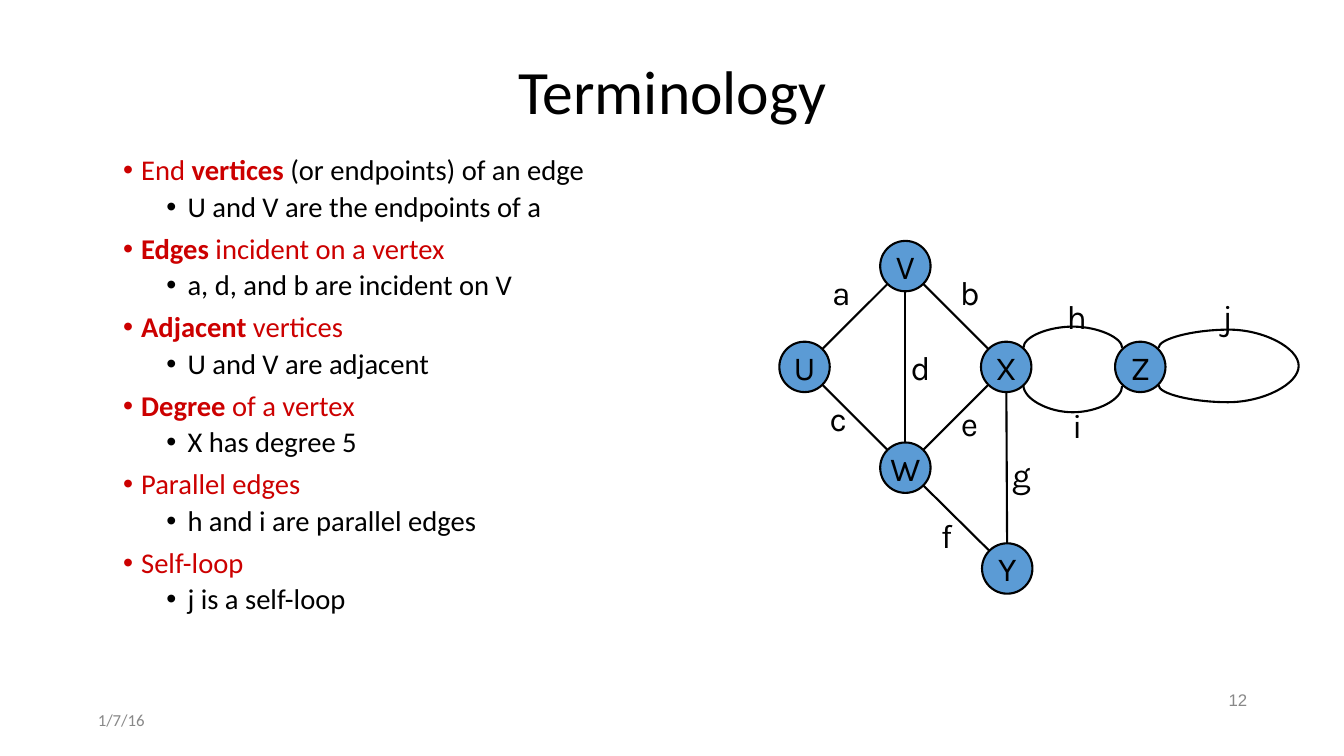
from math import hypot

from lxml.etree import SubElement
from pptx import Presentation
from pptx.dml.color import RGBColor
from pptx.enum.shapes import MSO_CONNECTOR, MSO_SHAPE
from pptx.enum.text import MSO_ANCHOR, PP_ALIGN
from pptx.oxml.ns import qn
from pptx.util import Inches, Pt

COLORS = {"text": "000000", "accent": "CC0000", "node": "5B9BD5", "footer": "888888"}
CELL = Inches(0.1)
RADIUS = 2.5

TERMS = [
    ([("End ", False, "accent"), ("vertices", True, "accent"),
      (" (or endpoints) of an edge", False, "text")],
     "U and V are the endpoints of a"),
    ([("Edges", True, "accent"), (" incident on a vertex", False, "accent")],
     "a, d, and b are incident on V"),
    ([("Adjacent", True, "accent"), (" vertices", False, "accent")],
     "U and V are adjacent"),
    ([("Degree", True, "accent"), (" of a vertex", False, "accent")],
     "X has degree 5"),
    ([("Parallel edges", False, "accent")], "h and i are parallel edges"),
    ([("Self-loop", False, "accent")], "j is a self-loop"),
]
VERTICES = {"X": (99.8, 36.4), "U": (79.8, 36.4), "V": (89.8, 26.4),
            "W": (89.8, 46.4), "Z": (113.1, 36.4), "Y": (99.9, 56.4)}
EDGES = ["VU", "WU", "WX", "VX", "VW", "WY", "XY"]
EDGE_LABELS = {"a": (83.45, 29), "c": (83.15, 41.5), "b": (96.2, 29),
               "e": (96.15, 42), "d": (91.3, 36.4), "f": (93.9, 53.1),
               "g": (101.3, 47), "h": (106.8, 31.4), "i": (106.85, 42.2),
               "j": (121.75, 31.4)}
CURVES = [
    [(101.5, 38.2), (101.5, 39.6), (104, 40.9), (106.4, 40.9),
     (108.9, 40.9), (111.3, 39.6), (111.3, 38.3)],
    [(101.5, 34.5), (101.5, 33.4), (104, 32.4), (106.4, 32.4),
     (108.9, 32.4), (111.3, 33.5), (111.3, 34.5)],
    [(114.9, 38.2), (114.9, 39.1), (118.4, 39.9), (121.8, 39.9),
     (125.3, 39.9), (128.8, 38.1), (128.8, 36.3),
     (128.8, 34.5), (125.3, 32.7), (121.9, 32.7),
     (118.4, 32.7), (114.9, 33.6), (114.9, 34.5)],
]


class GraphSlide:
    """Draws titles, lists and graph parts on one slide, measured in grid cells."""

    def __init__(self, presentation):
        self.slide = presentation.slides.add_slide(presentation.slide_layouts[5])

    def cells(self, *lengths):
        return [round(length * CELL) for length in lengths]

    def color(self, name):
        return RGBColor.from_string(COLORS[name])

    def frame(self, shape, anchor=MSO_ANCHOR.MIDDLE, wrap=True):
        text_frame = shape.text_frame
        text_frame.word_wrap = wrap
        text_frame.vertical_anchor = anchor
        text_frame.margin_left = text_frame.margin_right = Inches(0.05)
        text_frame.margin_top = text_frame.margin_bottom = Inches(0.05)
        return text_frame

    def style(self, run, size, font_name, color, bold=False):
        run.font.size = Pt(size)
        run.font.name = font_name
        run.font.bold = bold
        run.font.color.rgb = self.color(color)

    def fill_text(self, shape, text, size, font_name, color="text",
                  align=PP_ALIGN.CENTER, wrap=True):
        text_frame = self.frame(shape, wrap=wrap)
        text_frame.text = text
        paragraph = text_frame.paragraphs[0]
        paragraph.alignment = align
        self.style(paragraph.runs[0], size, font_name, color)
        return paragraph

    def title(self, text, left, top, width, height):
        shape = self.slide.shapes.title
        shape.left, shape.top, shape.width, shape.height = self.cells(left, top, width, height)
        self.fill_text(shape, text, 44, "Calibri").line_spacing = 0.9

    def label(self, text, box, size, font_name, **options):
        shape = self.slide.shapes.add_textbox(*self.cells(*box))
        self.fill_text(shape, text, size, font_name, **options)

    def bullet(self, paragraph, level, margin, indent, color):
        paragraph.level = level
        paragraph.line_spacing = 0.9
        properties = paragraph._p.get_or_add_pPr()
        properties.set("marL", str(Inches(margin)))
        properties.set("indent", str(Inches(indent)))
        bullet_color = SubElement(properties, qn("a:buClr"))
        SubElement(bullet_color, qn("a:srgbClr"), val=COLORS[color])
        SubElement(properties, qn("a:buFont"), typeface="Arial")
        SubElement(properties, qn("a:buChar"), char="•")

    def term_list(self, terms, box):
        shape = self.slide.shapes.add_textbox(*self.cells(*box))
        text_frame = self.frame(shape, MSO_ANCHOR.TOP)
        for index, (heading, example) in enumerate(terms):
            paragraph = text_frame.add_paragraph() if index else text_frame.paragraphs[0]
            self.bullet(paragraph, 0, 0.18, -0.18, "accent")
            if index:
                paragraph.space_before = Pt(8)
            for text, bold, color in heading:
                run = paragraph.add_run()
                run.text = text
                self.style(run, 20.4, "Calibri", color, bold)
            paragraph = text_frame.add_paragraph()
            paragraph.text = example
            self.bullet(paragraph, 1, 0.64, -0.21, "text")
            paragraph.space_before = Pt(4)
            self.style(paragraph.runs[0], 20.4, "Calibri", "text")

    def outline(self, shape):
        shape.line.color.rgb = self.color("text")
        shape.line.width = Pt(1.5)

    def vertex(self, name, x, y):
        box = self.cells(x - RADIUS, y - RADIUS, 2 * RADIUS, 2 * RADIUS)
        shape = self.slide.shapes.add_shape(MSO_SHAPE.OVAL, *box)
        shape.shadow.inherit = False
        shape.fill.solid()
        shape.fill.fore_color.rgb = self.color("node")
        self.outline(shape)
        self.fill_text(shape, name, 24, "Karla", wrap=False)

    def edge(self, start, end):
        (x1, y1), (x2, y2) = start, end
        distance = hypot(x2 - x1, y2 - y1)
        dx, dy = RADIUS * (x2 - x1) / distance, RADIUS * (y2 - y1) / distance
        points = self.cells(x1 + dx, y1 + dy, x2 - dx, y2 - dy)
        connector = self.slide.shapes.add_connector(MSO_CONNECTOR.STRAIGHT, *points)
        self.outline(connector)
        SubElement(connector._element.spPr, qn("a:effectLst"))

    def curve(self, points):
        start, *controls = [self.cells(*point) for point in points]
        builder = self.slide.shapes.build_freeform(*start)
        builder.add_line_segments(controls, close=False)
        shape = builder.convert_to_shape()
        shape.shadow.inherit = False
        shape.fill.background()
        self.outline(shape)
        outline = shape._element.find(".//" + qn("a:path"))
        segments = outline.findall(qn("a:lnTo"))
        for index in range(0, len(segments), 3):
            bezier = SubElement(outline, qn("a:cubicBezTo"))
            for segment in segments[index:index + 3]:
                bezier.append(segment[0])
                outline.remove(segment)


def main():
    presentation = Presentation()
    presentation.slide_width = Inches(13.33)
    presentation.slide_height = Inches(7.5)
    page = GraphSlide(presentation)
    page.title("Terminology", 9.2, 4, 115, 10.7)
    page.term_list(TERMS, (11.7, 15, 60.5, 49.2))
    for name, center in VERTICES.items():
        page.vertex(name, *center)
    for start, end in EDGES:
        page.edge(VERTICES[start], VERTICES[end])
    for points in CURVES:
        page.curve(points)
    for name, (x, y) in EDGE_LABELS.items():
        page.label(name, (x - 1.5, y - 2.5, 3, 5), 24, "Karla", wrap=False)
    page.label("1/7/16", (9.2, 70, 30, 2.9), 12, "Calibri",
               color="footer", align=PP_ALIGN.LEFT)
    page.label("12", (94.2, 68, 30, 2.9), 12, "Arial",
               color="footer", align=PP_ALIGN.RIGHT)
    presentation.save("out.pptx")


if __name__ == "__main__":
    main()
